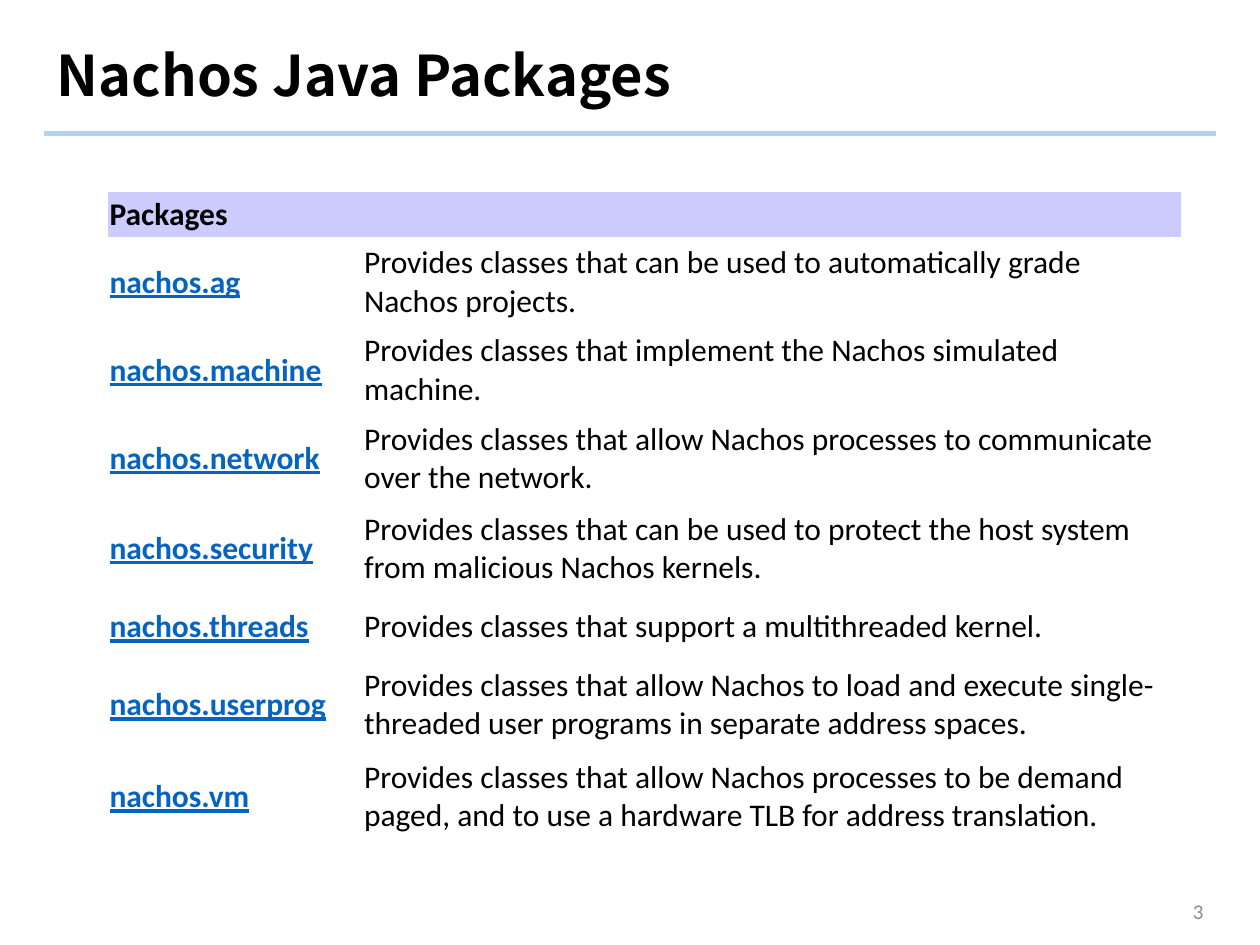
"""Build the slide that lists the Nachos Java packages in a table."""
from dataclasses import dataclass

from lxml import etree
from pptx import Presentation
from pptx.dml.color import RGBColor
from pptx.enum import shapes, text
from pptx.oxml import ns
from pptx.util import Inches, Pt

BLACK = RGBColor(0x00, 0x00, 0x00)
WHITE = RGBColor(0xFF, 0xFF, 0xFF)
GRAY = RGBColor(0x8C, 0x8C, 0x8C)
LINK_BLUE = RGBColor(0x05, 0x63, 0xC1)
RULE_BLUE = RGBColor(0xB5, 0xD2, 0xEC)
LAVENDER = RGBColor(0xCC, 0xCC, 0xFF)

TITLE = dict(name="Noto Sans CJK KR", size=Pt(32), bold=True)
HEADER = dict(name="Calibri", size=Pt(18), bold=True, underline=False)
PACKAGE = HEADER | dict(underline=True)
SUMMARY = HEADER | dict(bold=False)
PAGE = dict(name="Calibri", size=Pt(12))

CELL = dict.fromkeys(
    ("margin_left", "margin_right", "margin_top", "margin_bottom"), Inches(0.02)
) | dict(vertical_anchor=text.MSO_ANCHOR.MIDDLE)


@dataclass(frozen=True)
class Package:
    name: str
    summary: str
    height: float


PACKAGES = [
    Package("nachos.ag", "Provides classes that can be used to automatically grade Nachos projects.", 0.7),
    Package("nachos.machine", "Provides classes that implement the Nachos simulated machine.", 0.7),
    Package("nachos.network", "Provides classes that allow Nachos processes to communicate over the network.", 0.7),
    Package("nachos.security", "Provides classes that can be used to protect the host system from malicious Nachos kernels.", 0.73),
    Package("nachos.threads", "Provides classes that support a multithreaded kernel.", 0.51),
    Package("nachos.userprog", "Provides classes that allow Nachos to load and execute single-threaded user programs in separate address spaces.", 0.73),
    Package("nachos.vm", "Provides classes that allow Nachos processes to be demand paged, and to use a hardware TLB for address translation.", 0.73),
]
HEADER_HEIGHT = 0.37
COLUMN_WIDTHS = (2.02, 6.51)


def apply(target, values: dict) -> None:
    """Set every attribute in values on the target."""
    for key, value in values.items():
        setattr(target, key, value)


def write(tf, content: str, font: dict, color: RGBColor, align=text.PP_ALIGN.LEFT):
    """Write one formatted run and return its paragraph."""
    p = tf.paragraphs[0]
    p.alignment = align
    r = p.add_run()
    r.text = content
    apply(r.font, font)
    r.font.color.rgb = color
    return p


def fill_cell(cell, content: str, font: dict, color: RGBColor, fill: RGBColor) -> None:
    """Format a table cell and write its text."""
    apply(cell, CELL)
    cell.fill.solid()
    cell.fill.fore_color.rgb = fill
    write(cell.text_frame, content, font, color)


def add_title(s) -> None:
    """Place the title and the rule under it."""
    line = s.shapes.add_connector(
        shapes.MSO_CONNECTOR.STRAIGHT, Inches(0.35), Inches(1.06), Inches(9.65), Inches(1.06)
    )
    line.line.color.rgb = RULE_BLUE
    line.line.width = Pt(3)
    etree.SubElement(line._element.spPr, ns.qn("a:effectLst"))

    sp = s.shapes.title
    apply(sp, dict(left=Inches(0.35), top=Inches(0.21), width=Inches(9.3), height=Inches(0.83)))
    sp.text_frame.vertical_anchor = text.MSO_ANCHOR.MIDDLE
    p = write(sp.text_frame, "Nachos Java Packages", TITLE, BLACK)
    p.line_spacing = 0.9


def add_packages(s) -> None:
    """Draw the table of packages under a merged header row."""
    heights = [HEADER_HEIGHT] + [package.height for package in PACKAGES]
    table = s.shapes.add_table(
        len(heights), len(COLUMN_WIDTHS), Inches(0.85), Inches(1.52),
        Inches(sum(COLUMN_WIDTHS)), Inches(sum(heights)),
    ).table
    apply(table, dict(first_row=False, horz_banding=False))
    for column, width in zip(table.columns, COLUMN_WIDTHS):
        column.width = Inches(width)
    for row, height in zip(table.rows, heights):
        row.height = Inches(height)

    table.cell(0, 0).merge(table.cell(0, 1))
    fill_cell(table.cell(0, 0), "Packages", HEADER, BLACK, LAVENDER)
    for i, package in enumerate(PACKAGES, 1):
        fill_cell(table.cell(i, 0), package.name, PACKAGE, LINK_BLUE, WHITE)
        fill_cell(table.cell(i, 1), package.summary, SUMMARY, BLACK, WHITE)


def add_page_number(s) -> None:
    """Write the page number at the lower right."""
    sp = s.shapes.add_textbox(Inches(7.06), Inches(7.03), Inches(2.59), Inches(0.4))
    apply(sp.text_frame, dict(word_wrap=True, vertical_anchor=text.MSO_ANCHOR.MIDDLE))
    write(sp.text_frame, "3", PAGE, GRAY, text.PP_ALIGN.RIGHT)


def main() -> None:
    """Build and save the presentation."""
    prs = Presentation()
    apply(prs, dict(slide_width=Inches(10), slide_height=Inches(7.5)))
    s = prs.slides.add_slide(prs.slide_layouts.get_by_name("Title Only"))
    add_title(s)
    add_packages(s)
    add_page_number(s)
    prs.save("out.pptx")


if __name__ == "__main__":
    main()
